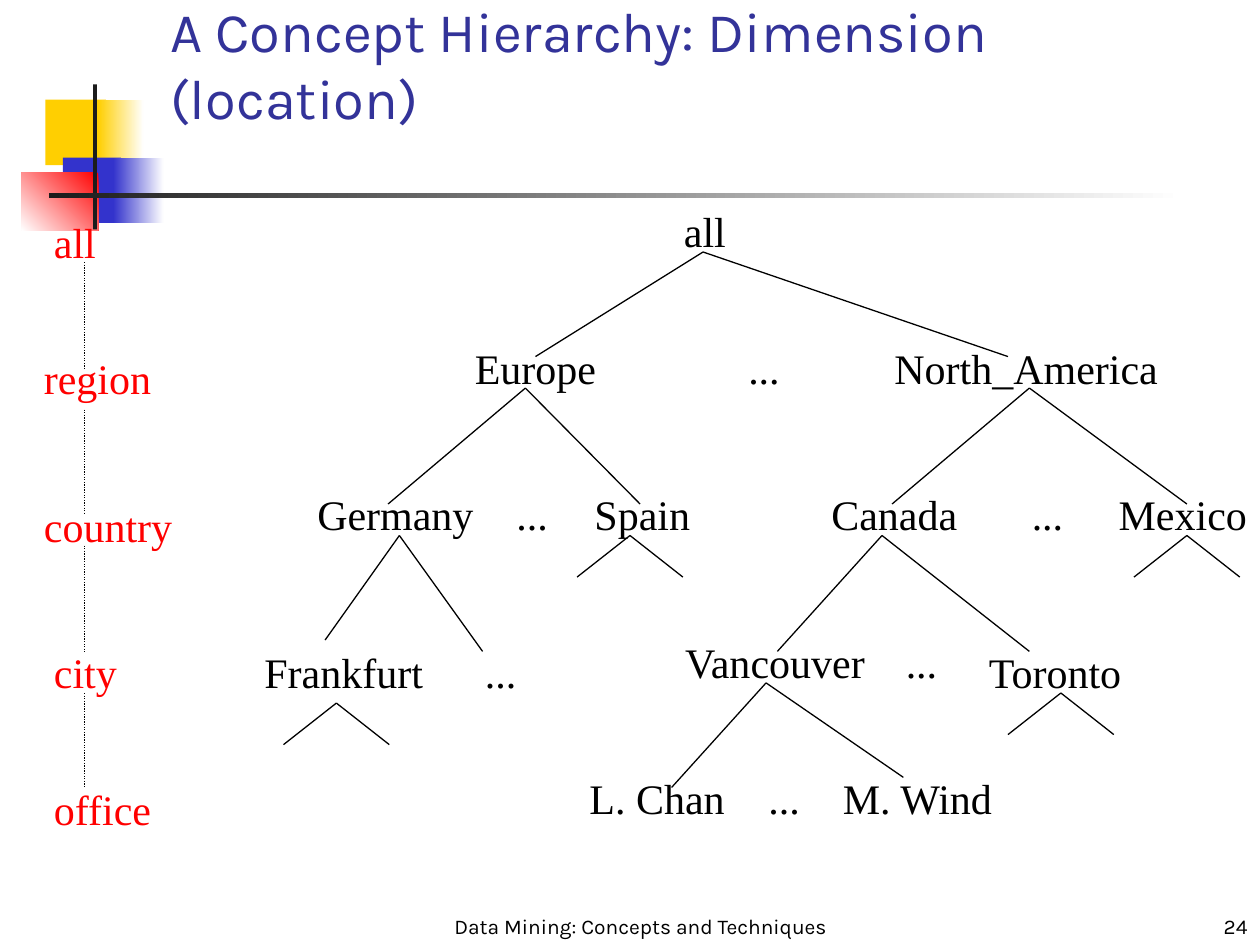
from lxml import etree
from pptx import Presentation
from pptx.dml.color import RGBColor
from pptx.enum.dml import MSO_LINE_DASH_STYLE as DASH
from pptx.enum.shapes import MSO_CONNECTOR, MSO_SHAPE
from pptx.enum.text import MSO_ANCHOR, MSO_AUTO_SIZE as AUTO, PP_ALIGN
from pptx.oxml.ns import qn
from pptx.util import Inches, Pt

SANS, SERIF = "Karla", "Times New Roman"
BLACK, RED, NAVY = "000000", "FF0000", "333399"
YELLOW, BLUE, DARK, WHITE = "FFCF01", "3333CC", "1C1C1C", "FFFFFF"
LABEL_H = 0.5

# (text, left, top, width), relative to the tree's box
NODES = [
    ("all", 3.33, 0, 0.53),
    ("Europe", 1.67, 1.09, 1.16), ("...", 3.84, 1.09, 0.45),
    ("North_America", 5, 1.09, 2.29),
    ("Germany", 0.42, 2.25, 1.44), ("...", 2, 2.25, 0.45),
    ("Spain", 2.62, 2.25, 0.96), ("Canada", 4.5, 2.25, 1.2),
    ("...", 6.09, 2.25, 0.45), ("Mexico", 6.78, 2.25, 1.22),
    ("Frankfurt", 0, 3.5, 1.46), ("...", 1.75, 3.5, 0.45),
    ("Vancouver", 3.34, 3.42, 1.66), ("...", 5.09, 3.42, 0.45),
    ("Toronto", 5.75, 3.5, 1.4),
    ("L. Chan", 2.58, 4.5, 1.3), ("...", 4, 4.5, 0.45),
    ("M. Wind", 4.59, 4.5, 1.42),
]
# (apex, left end, right end) of each branching
FORKS = [
    ((3.58, 0.42), (2.25, 1.25), (6, 1.25)),
    ((2.17, 1.5), (1.08, 2.42), (3.08, 2.42)),
    ((6.17, 1.5), (5.08, 2.42), (7.42, 2.42)),
    ((1.17, 2.67), (0.58, 3.5), (1.83, 3.59)),
    ((5, 2.67), (4.17, 3.59), (6.17, 3.59)),
    ((4.08, 3.84), (3.33, 4.67), (5.17, 4.59)),
]
# Apexes of nodes whose children are not named
STUBS = [(3, 2.67), (7.42, 2.67), (0.67, 4), (6.42, 3.92)]
STUB_DX, STUB_DY = 0.42, 0.33

# (text, left, top, width), relative to the level column's box
LEVELS = [("all", 0.08, 0, 0.53), ("region", 0, 1.08, 1.05),
          ("country", 0, 2.25, 1.22), ("city", 0.08, 3.41, 0.7),
          ("office", 0.08, 4.5, 0.97)]
LEVEL_LINKS = [(0.41, 1.25), (1.58, 2.41), (2.66, 3.5), (3.83, 4.58)]
LEVEL_AXIS = 0.42


def rgb(color):
    return RGBColor.from_string(color)


def add_run(p, text, size, font, color):
    r = p.add_run()
    r.text = text
    r.font.size, r.font.name = Pt(size), font
    r.font.color.rgb = rgb(color)


def add_label(s, text, left, top, width, color):
    """Place one unwrapped label of the hierarchy."""
    tb = s.shapes.add_textbox(*map(Inches, (left, top, width, LABEL_H)))
    tf = tb.text_frame
    tf.word_wrap = False
    tf.auto_size = AUTO.SHAPE_TO_FIT_TEXT
    add_run(tf.paragraphs[0], text, 24, SERIF, color)


def add_line(s, start, end, dash=None):
    line = s.shapes.add_connector(MSO_CONNECTOR.STRAIGHT,
                                  *map(Inches, (*start, *end)))
    line.line.color.rgb = rgb(BLACK)
    line.line.width = Pt(0.75)
    if dash:
        line.line.dash_style = dash
    etree.SubElement(line._element.spPr, qn("a:effectLst"))


def add_block(s, left, top, width, height, color, fade_to=None, angle=0):
    sp = s.shapes.add_shape(MSO_SHAPE.RECTANGLE,
                            *map(Inches, (left, top, width, height)))
    sp.shadow.inherit = False
    sp.line.fill.background()
    if fade_to:
        sp.fill.gradient()
        sp.fill.gradient_angle = angle
        for stop, shade in zip(sp.fill.gradient_stops, (color, fade_to)):
            stop.color.rgb = rgb(shade)
    else:
        sp.fill.solid()
        sp.fill.fore_color.rgb = rgb(color)


def add_ornament(s, left, top):
    """Draw the overlapping squares and the crossing bars."""
    for x, y, w, h, *fill in [
        (0.19, 0.12, 0.48, 0.52, YELLOW),
        (0.61, 0.12, 0.36, 0.52, YELLOW, WHITE),
        (0.33, 0.58, 0.46, 0.52, BLUE),
        (0.73, 0.58, 0.4, 0.52, BLUE, WHITE),
        (0, 0.7, 0.61, 0.46, RED, WHITE, 225),
        (0.57, 0, 0.03, 1.15, DARK),
        (0.22, 0.86, 9, 0.04, DARK, WHITE),
    ]:
        add_block(s, left + x, top + y, w, h, *fill)


def add_title(s, left, top, width, height):
    title = s.shapes.title
    title.left, title.top = Inches(left), Inches(top)
    title.width, title.height = Inches(width), Inches(height)
    tf = title.text_frame
    tf.word_wrap = True
    tf.auto_size = AUTO.NONE
    tf.vertical_anchor = MSO_ANCHOR.BOTTOM
    p = tf.paragraphs[0]
    p.alignment = PP_ALIGN.LEFT
    add_run(p, "A Concept Hierarchy: Dimension (location)", 32, SANS, NAVY)


def add_tree(s, left, top):
    def at(x, y):
        return left + x, top + y

    for text, x, y, width in NODES:
        add_label(s, text, *at(x, y), width, BLACK)
    stubs = [((x, y), (x - STUB_DX, y + STUB_DY), (x + STUB_DX, y + STUB_DY))
             for x, y in STUBS]
    for apex, *ends in FORKS + stubs:
        for end in ends:
            add_line(s, at(*apex), at(*end))


def add_levels(s, left, top):
    for text, x, y, width in LEVELS:
        add_label(s, text, left + x, top + y, width, RED)
    axis = left + LEVEL_AXIS
    for y1, y2 in LEVEL_LINKS:
        add_line(s, (axis, top + y1), (axis, top + y2), DASH.ROUND_DOT)


def add_footer(s, text, left, top, width, height, align):
    tb = s.shapes.add_textbox(*map(Inches, (left, top, width, height)))
    tf = tb.text_frame
    tf.word_wrap = True
    tf.vertical_anchor = MSO_ANCHOR.BOTTOM
    p = tf.paragraphs[0]
    p.alignment = align
    add_run(p, text, 12, SANS, BLACK)


def main():
    prs = Presentation()
    prs.slide_width, prs.slide_height = Inches(10), Inches(7.5)
    s = prs.slides.add_slide(prs.slide_layouts[5])
    add_ornament(s, 0.17, 0.67)
    add_title(s, 1.25, 0.42, 8.75, 0.67)
    add_tree(s, 2, 1.58)
    add_levels(s, 0.25, 1.67)
    add_footer(s, "Data Mining: Concepts and Techniques",
               3.5, 6.92, 3.17, 0.58, PP_ALIGN.CENTER)
    add_footer(s, "24", 7.92, 7, 2.08, 0.5, PP_ALIGN.RIGHT)
    prs.save("out.pptx")


if __name__ == "__main__":
    main()
